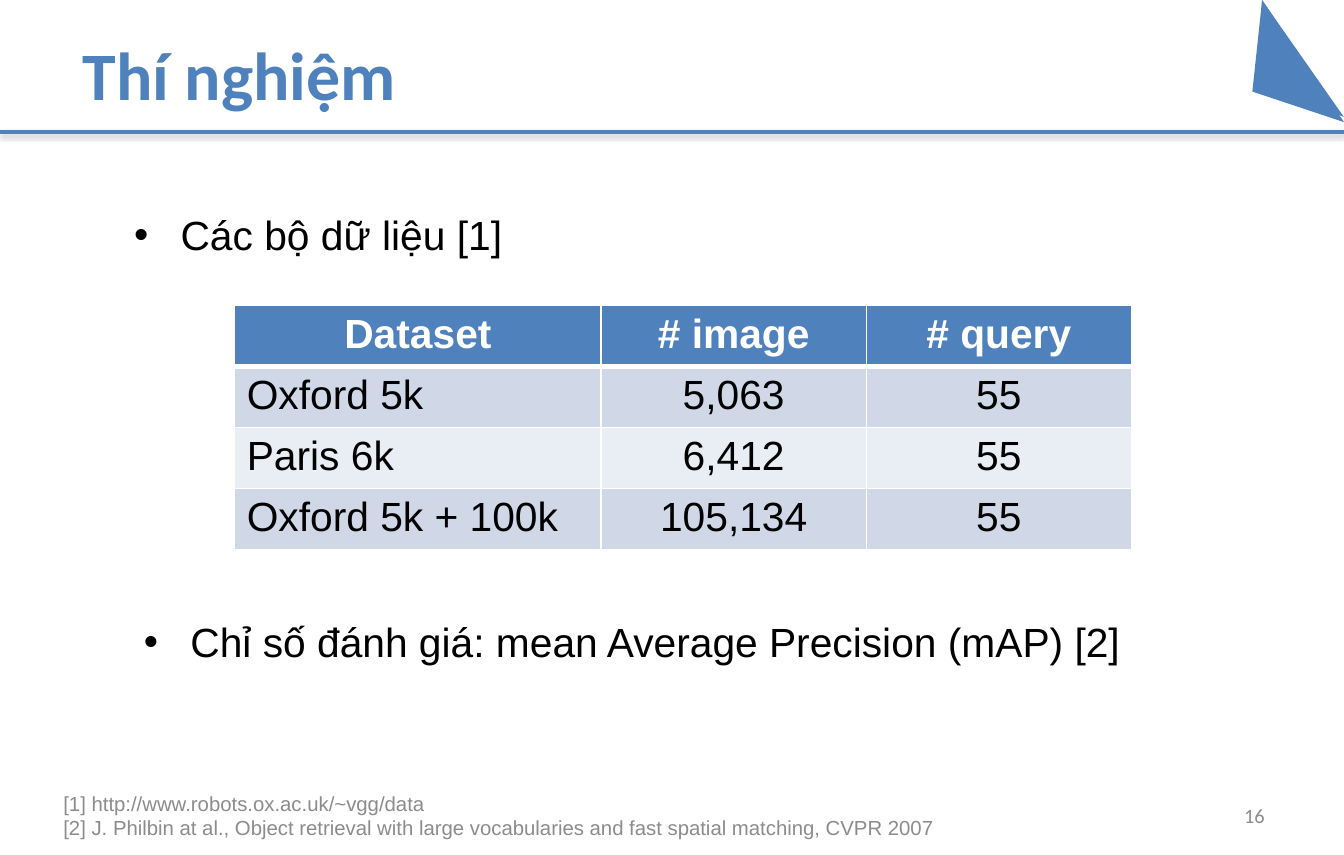
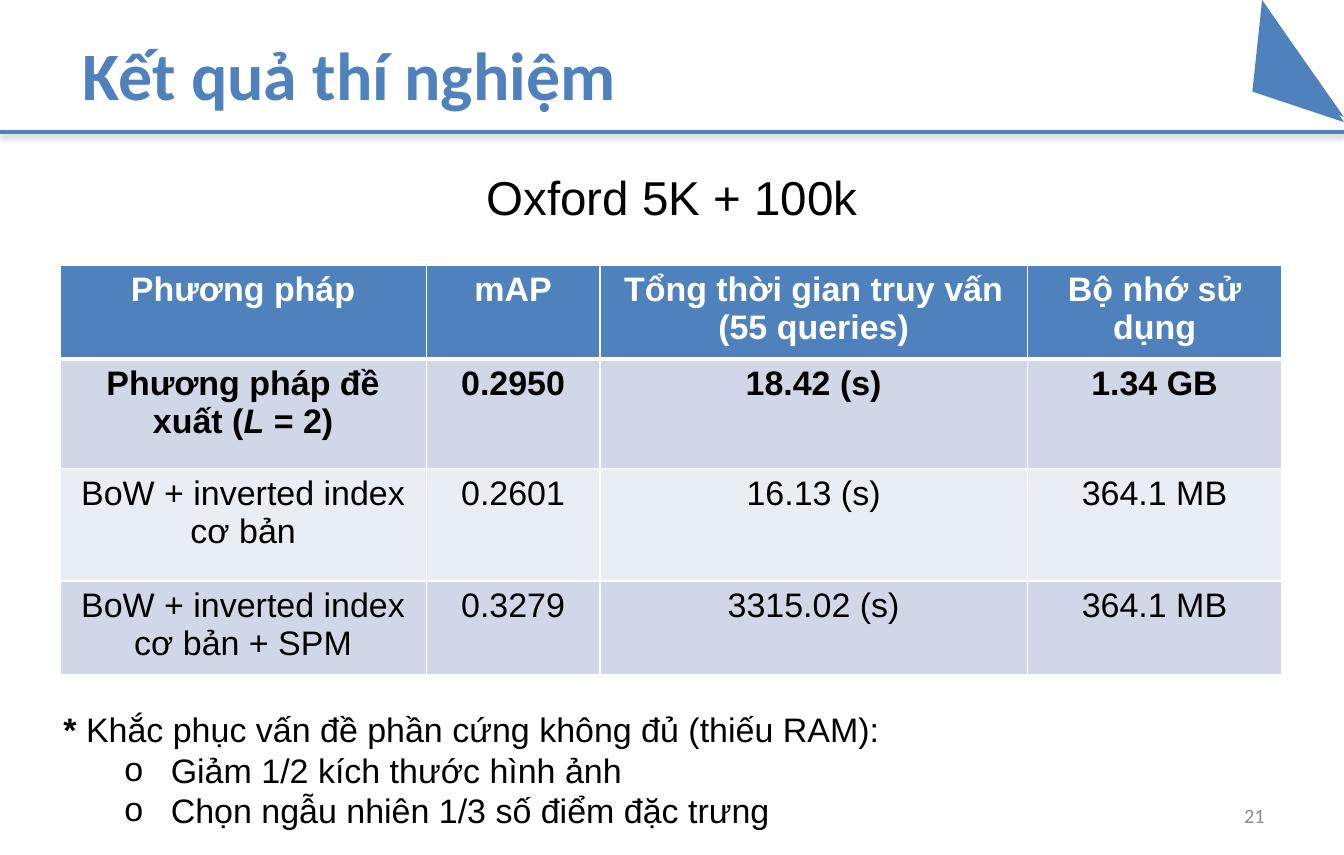
from dataclasses import dataclass

from lxml import etree
from pptx import Presentation
from pptx.dml.color import RGBColor
from pptx.enum.shapes import MSO_CONNECTOR, MSO_SHAPE
from pptx.enum.text import MSO_ANCHOR, PP_ALIGN
from pptx.oxml.ns import qn
from pptx.util import Inches, Pt

LEFT, CENTER, RIGHT = PP_ALIGN.LEFT, PP_ALIGN.CENTER, PP_ALIGN.RIGHT
TOP, MIDDLE = MSO_ANCHOR.TOP, MSO_ANCHOR.MIDDLE
STRAIGHT, TRIANGLE = MSO_CONNECTOR.STRAIGHT, MSO_SHAPE.ISOSCELES_TRIANGLE


@dataclass(frozen=True)
class Theme:
    blue = RGBColor(0x4F, 0x81, 0xBD)
    dark_band = RGBColor(0xD0, 0xD8, 0xE8)
    light_band = RGBColor(0xE9, 0xED, 0xF4)
    black = RGBColor(0, 0, 0)
    white = RGBColor(0xFF, 0xFF, 0xFF)
    gray = RGBColor(0x8C, 0x8C, 0x8C)
    heading_font = "Calibri"
    body_font = "Arial"
    title_size = 40
    subtitle_size = 28
    body_size = 24
    dense_size = 20
    small_size = 12


theme = Theme()


def write_runs(para, content, size, color, font=theme.body_font, bold=False, align=LEFT):
    """Fill a paragraph from a string or from (text, style) runs, style using b and i."""
    para.alignment = align
    for text, style in [(content, "")] if isinstance(content, str) else content:
        span = para.add_run()
        span.text = text
        span.font.name, span.font.size = font, Pt(size)
        span.font.bold = bold or "b" in style
        span.font.italic = "i" in style
        span.font.color.rgb = color


def add_text(page, area, lines, size, color=theme.black, anchor=TOP, wrap=True, **style):
    """Add a text box; each line is its content, or (content, bullet, text indent)."""
    box = page.shapes.add_textbox(*[Inches(length) for length in area])
    frame = box.text_frame
    frame.word_wrap, frame.vertical_anchor = wrap, anchor
    for index, line in enumerate(lines):
        para = frame.add_paragraph() if index else frame.paragraphs[0]
        content = line
        if isinstance(line, tuple):
            content, bullet, indent = line
            props = para._p.get_or_add_pPr()
            props.set("marL", str(Inches(indent)))
            props.set("indent", str(Inches(-0.38)))
            etree.SubElement(props, qn("a:buFont")).set("typeface", theme.body_font)
            etree.SubElement(props, qn("a:buChar")).set("char", bullet)
        write_runs(para, content, size, color, **style)


deck = Presentation()
deck.slide_width, deck.slide_height = Inches(11), Inches(7)

slides = [
    {
        "title": "Thí nghiệm",
        "number": "16",
        "place": (1.92, 2.5),
        "columns": [3, 2.17, 2.17],
        "heights": [0.47] * 4,
        "size": theme.body_size,
        "first_align": LEFT,
        "bold_rows": {0},
        "rows": [
            ["Dataset", "# image", "# query"],
            ["Oxford 5k", "5,063", "55"],
            ["Paris 6k", "6,412", "55"],
            ["Oxford 5k + 100k", "105,134", "55"],
        ],
    },
    {
        "title": "Kết quả thí nghiệm",
        "number": "21",
        "place": (0.49, 2.17),
        "columns": [3, 1.42, 3.5, 2.08],
        "heights": [0.71, 0.9, 0.92, 0.71],
        "size": theme.dense_size,
        "first_align": CENTER,
        "bold_rows": {0, 1},
        "rows": [
            ["Phương pháp", "mAP", "Tổng thời gian truy vấn (55 queries)", "Bộ nhớ sử dụng"],
            [[("Phương pháp đề xuất (", ""), ("L", "i"), (" = 2)", "")],
             "0.2950", "18.42 (s)", "1.34 GB"],
            ["BoW + inverted index cơ bản", "0.2601", "16.13 (s)", "364.1 MB"],
            ["BoW + inverted index cơ bản + SPM", "0.3279", "3315.02 (s)", "364.1 MB"],
        ],
    },
]

pages = []
for slide in slides:
    page = deck.slides.add_slide(deck.slide_layouts[6])
    pages.append(page)

    # Corner ornament
    outline = page.shapes.build_freeform(Inches(11), Inches(1))
    outline.add_line_segments(
        [(Inches(x), Inches(y)) for x, y in [(10.25, 0.75), (10.33, 0)]], close=True)
    fold = page.shapes.add_shape(
        TRIANGLE, Inches(9.91), Inches(0.39), Inches(1.17), Inches(0.41))
    fold.rotation = 235
    for piece in (outline.convert_to_shape(), fold):
        piece.shadow.inherit = False
        piece.fill.solid()
        piece.fill.fore_color.rgb = theme.blue
        piece.line.fill.background()

    # Title, page number and shadowed rule
    add_text(page, (0.58, 0, 9.58, 1.2), [slide["title"]], theme.title_size, theme.blue,
             MIDDLE, font=theme.heading_font, bold=True)
    add_text(page, (7.88, 6.49, 2.57, 0.37), [slide["number"]], theme.small_size, theme.gray,
             MIDDLE, font=theme.heading_font, align=RIGHT)
    rule = page.shapes.add_connector(STRAIGHT, 0, Inches(1.08), deck.slide_width, Inches(1.08))
    rule.line.color.rgb, rule.line.width = theme.blue, Pt(2)
    effects = etree.SubElement(rule._element.spPr, qn("a:effectLst"))
    shadow = etree.SubElement(effects, qn("a:outerShdw"), blurRad=str(Pt(3.1)),
                              dist=str(Pt(1.6)), dir="5400000", rotWithShape="0")
    shade = etree.SubElement(shadow, qn("a:srgbClr"), val=str(theme.black))
    etree.SubElement(shade, qn("a:alpha"), val="38000")

    # Table
    rows, columns, heights = slide["rows"], slide["columns"], slide["heights"]
    left, top = slide["place"]
    table = page.shapes.add_table(len(rows), len(columns), Inches(left), Inches(top),
                                  Inches(sum(columns)), Inches(sum(heights))).table
    for column, width in zip(table.columns, columns):
        column.width = Inches(width)
    for row_index, row in enumerate(rows):
        table.rows[row_index].height = Inches(heights[row_index])
        header = row_index == 0
        band = theme.dark_band if row_index % 2 else theme.light_band
        for column_index, content in enumerate(row):
            cell = table.cell(row_index, column_index)
            props = cell._tc.get_or_add_tcPr()
            for side in "LRTB":
                thick = (row_index, side) in {(0, "B"), (1, "T")}
                border = etree.SubElement(props, qn(f"a:ln{side}"), w=str(Pt(3 if thick else 1)))
                paint = etree.SubElement(border, qn("a:solidFill"))
                etree.SubElement(paint, qn("a:srgbClr"), val=str(theme.white))
            cell.fill.solid()
            cell.fill.fore_color.rgb = theme.blue if header else band
            write_runs(cell.text_frame.paragraphs[0], content, slide["size"],
                       theme.white if header else theme.black,
                       bold=row_index in slide["bold_rows"],
                       align=CENTER if header or column_index else slide["first_align"])

setup, results = pages

add_text(setup, (1, 1.67, 3.83, 0.5), [("Các bộ dữ liệu [1]", "•", 0.38)], theme.body_size)
add_text(setup, (1.08, 5, 8.58, 0.5),
         [("Chỉ số đánh giá: mean Average Precision (mAP) [2]", "•", 0.38)], theme.body_size)
add_text(setup, (0.42, 6.49, 10.58, 0.37), [
    "[1] http://www.robots.ox.ac.uk/~vgg/data",
    "[2] J. Philbin at al., Object retrieval with large vocabularies"
    " and fast spatial matching, CVPR 2007",
], theme.small_size, theme.gray, MIDDLE)

add_text(results, (0, 1.33, 11, 0.57), ["Oxford 5K + 100k"], theme.subtitle_size, align=CENTER)
add_text(results, (0.42, 5.75, 6.93, 1.11), [
    [("* ", "b"), ("Khắc phục vấn đề phần cứng không đủ (thiếu RAM):", "")],
    ("Giảm 1/2 kích thước hình ảnh", "o", 0.88),
    ("Chọn ngẫu nhiên 1/3 số điểm đặc trưng", "o", 0.88),
], theme.dense_size, wrap=False)

deck.save("out.pptx")
